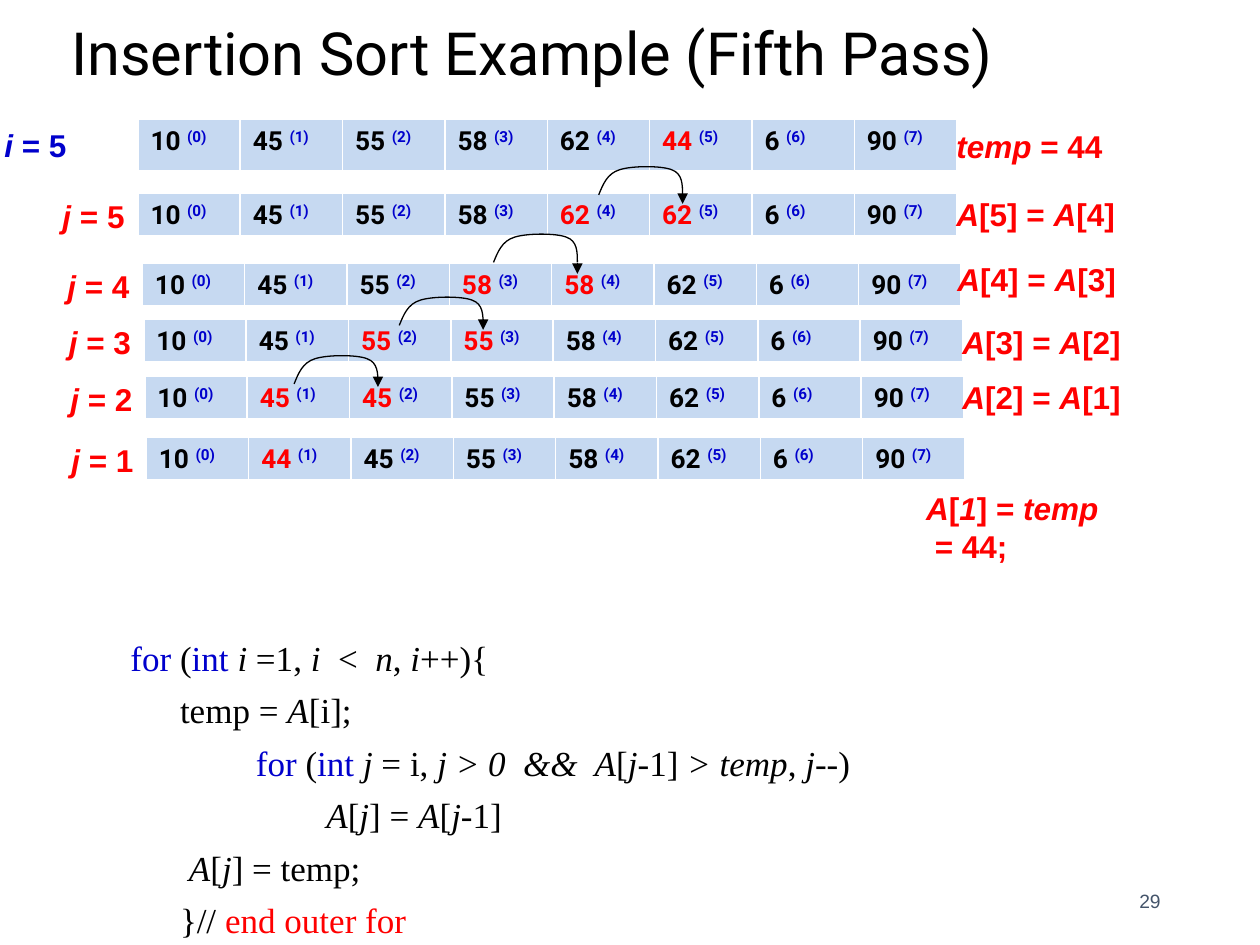
from dataclasses import dataclass
from typing import Optional

from lxml.etree import SubElement
from pptx import Presentation
from pptx.dml.color import RGBColor
from pptx.enum.shapes import MSO_CONNECTOR as Connector
from pptx.enum.text import MSO_ANCHOR as Anchor, MSO_AUTO_SIZE as AutoSize, PP_ALIGN as Align
from pptx.oxml.ns import qn
from pptx.util import Cm, Pt

BLACK = RGBColor(0x00, 0x00, 0x00)
WHITE = RGBColor(0xFF, 0xFF, 0xFF)
RED = RGBColor(0xFF, 0x00, 0x00)
BLUE = RGBColor(0x00, 0x00, 0xCC)
PALE_BLUE = RGBColor(0xC6, 0xD9, 0xF1)
SLATE = RGBColor(0x44, 0x54, 0x6A)

# Lengths in cm
ARRAY_WIDTH = 16.51
LABEL_WIDTH, LABEL_HEIGHT = 1.85, 1.02
ARC_WIDTH, ARC_HEIGHT = 1.69, 0.59
ARROW_LENGTH = 0.21
# Start, then three points for each cubic curve, as fractions of the arc's size
ARC_POINTS = (
    (0, 1),
    (0.05, 0.65), (0.1, 0.27), (0.25, 0.14),
    (0.4, 0), (0.75, 0), (0.87, 0.14),
    (1, 0.27), (1, 0.65), (1, 1),
)


@dataclass
class Step:
    """One row of the trace: the array, its label and its note."""
    left: float
    top: float
    values: tuple[int, ...]
    changed: tuple[int, ...]
    label: str
    label_at: tuple[float, float]
    note: str
    note_at: tuple[float, float]
    note_width: float = 3.8
    arc_at: Optional[tuple[float, float]] = None
    height: float = 0.89
    label_color: RGBColor = RED


@dataclass
class CodeLine:
    indent: float
    text: str
    accent: RGBColor = BLUE


STEPS = (
    Step(2.78, 2.41, (10, 45, 55, 58, 62, 44, 6, 90), (5,), "*i* = 5", (-0.16, 2.41),
         "*temp* = 44", (19.03, 2.44), height=1.07, label_color=BLUE),
    Step(2.78, 3.9, (10, 45, 55, 58, 62, 62, 6, 90), (4, 5), "*j* = 5", (1.01, 3.85),
         "*A*[5] = *A*[4]", (19.03, 3.81), arc_at=(12.07, 3.93)),
    Step(2.87, 5.31, (10, 45, 55, 58, 58, 62, 6, 90), (3, 4), "*j* = 4", (1.11, 5.26),
         "*A*[4] = *A*[3]", (19.05, 5.12), arc_at=(9.95, 5.29)),
    Step(2.9, 6.44, (10, 45, 55, 55, 58, 62, 6, 90), (2, 3), "*j* = 3", (1.14, 6.39),
         "*A*[3] = *A*[2]", (19.15, 6.39), arc_at=(8.05, 6.56)),
    Step(2.92, 7.59, (10, 45, 45, 55, 58, 62, 6, 90), (1, 2), "*j* = 2", (1.17, 7.54),
         "*A*[2] = *A*[1]", (19.15, 7.49), arc_at=(5.93, 7.74)),
    Step(2.95, 8.82, (10, 44, 45, 55, 58, 62, 6, 90), (1,), "*j* = 1", (1.19, 8.76),
         "*A*[*1*] = *temp*\n = 44;", (18.42, 9.73), note_width=4.2),
)

CODE = (
    CodeLine(0.75, "~for~ (~int~ *i* =1, *i*  <  *n*, *i*++){"),
    CodeLine(1.75, "temp = *A*[i];"),
    CodeLine(3.28, "~for~ (~int~ *j* = i, *j > 0  &&  A*[*j*-1]* > temp*, *j*--)"),
    CodeLine(4.7, "*A*[*j*] = *A*[*j*-1]"),
    CodeLine(1.93, "*A*[*j*] = temp;"),
    CodeLine(1.75, "}// ~end outer for~", RED),
)


def add_span(para, text: str, *, font: str, size: float, color: RGBColor,
             bold: bool = False, italic: bool = False, raised: bool = False) -> None:
    span = para.add_run()
    span.text = text
    span.font.name, span.font.size = font, Pt(size)
    span.font.bold, span.font.italic = bold, italic
    span.font.color.rgb = color
    if raised:
        span._r.get_or_add_rPr().set("baseline", "30000")


def write(para, text: str, *, color: RGBColor, accent: RGBColor = BLUE, **style) -> None:
    """Write text in which *...* is italic and ~...~ takes the accent colour."""
    for i, piece in enumerate(text.split("*")):
        for k, part in enumerate(piece.split("~")):
            if part:
                add_span(para, part, italic=i % 2 == 1,
                         color=accent if k % 2 else color, **style)


def add_box(page, left: float, top: float, width: float, height: float, *,
            anchor=Anchor.TOP):
    box = page.shapes.add_textbox(Cm(left), Cm(top), Cm(width), Cm(height))
    frame = box.text_frame
    frame.word_wrap = True
    frame.vertical_anchor = anchor
    frame.auto_size = AutoSize.NONE
    return frame


def add_label(page, text: str, left: float, top: float, width: float, color: RGBColor) -> None:
    lines = text.split("\n")
    frame = add_box(page, left, top, width, LABEL_HEIGHT * len(lines))
    for i, line in enumerate(lines):
        para = frame.add_paragraph() if i else frame.paragraphs[0]
        write(para, line, font="Arial", size=18, bold=True, color=color)


def set_borders(cell) -> None:
    properties = cell._tc.get_or_add_tcPr()
    for side, width in (("L", 1), ("R", 1), ("T", 1), ("B", 3)):
        line = SubElement(properties, qn(f"a:ln{side}"), w=str(Pt(width)))
        fill = SubElement(line, qn("a:solidFill"))
        SubElement(fill, qn("a:srgbClr"), val=str(WHITE))


def add_array(page, step: Step) -> None:
    count = len(step.values)
    table = page.shapes.add_table(1, count, Cm(step.left), Cm(step.top),
                                  Cm(ARRAY_WIDTH), Cm(step.height)).table
    table.first_row = table.horz_banding = False
    for i, value in enumerate(step.values):
        cell = table.cell(0, i)
        set_borders(cell)
        cell.fill.solid()
        cell.fill.fore_color.rgb = PALE_BLUE
        para = cell.text_frame.paragraphs[0]
        style = dict(font="Roboto", size=15, bold=True)
        add_span(para, f"{value} ", color=RED if i in step.changed else BLACK, **style)
        add_span(para, f"({i})", color=BLUE, raised=True, **style)


def bend(shape) -> None:
    """Turn every three straight segments of a freeform into one cubic curve."""
    for i, segment in enumerate(list(shape._element.iter(qn("a:lnTo")))):
        outline = segment.getparent()
        if i % 3 == 0:
            curve = SubElement(outline, qn("a:cubicBezTo"))
        curve.append(segment[0])
        outline.remove(segment)


def add_arc(page, left: float, bottom: float, arrow_top: float) -> None:
    places = [(Cm(left + x * ARC_WIDTH), Cm(bottom - (1 - y) * ARC_HEIGHT))
              for x, y in ARC_POINTS]
    builder = page.shapes.build_freeform(*places[0])
    builder.add_line_segments(places[1:], close=False)
    arc = builder.convert_to_shape()
    bend(arc)
    arc.shadow.inherit = False
    arc.fill.background()

    right = Cm(left + ARC_WIDTH)
    arrow = page.shapes.add_connector(Connector.STRAIGHT, right, Cm(arrow_top),
                                      right, Cm(arrow_top + ARROW_LENGTH))
    for shape in (arc, arrow):
        shape.line.color.rgb = BLACK
        shape.line.width = Pt(0.75)
    SubElement(arrow.line._get_or_add_ln(), qn("a:tailEnd"), type="triangle")
    SubElement(arrow._element.spPr, qn("a:effectLst"))


def main() -> None:
    deck = Presentation()
    deck.slide_width, deck.slide_height = Cm(25.4), Cm(19.05)
    page = deck.slides.add_slide(deck.slide_layouts[6])

    # Title
    para = add_box(page, 1.19, 0.05, 21.03, 1.85, anchor=Anchor.BOTTOM).paragraphs[0]
    para.line_spacing = 0.9
    write(para, "Insertion Sort Example (Fifth Pass)", font="Roboto", size=34, color=BLACK)

    # Trace of the pass
    for step in STEPS:
        add_array(page, step)
        add_label(page, step.label, *step.label_at, LABEL_WIDTH, step.label_color)
        add_label(page, step.note, *step.note_at, step.note_width, RED)
    for step in STEPS:
        if step.arc_at:
            add_arc(page, *step.arc_at, step.top)

    # Code
    frame = add_box(page, 1.63, 12.7, 20.12, 5.92)
    for i, line in enumerate(CODE):
        para = frame.add_paragraph() if i else frame.paragraphs[0]
        para.space_before = Pt(6)
        para._p.get_or_add_pPr().set("marL", str(Cm(line.indent)))
        write(para, line.text, font="Times New Roman", size=20, color=BLACK, accent=line.accent)

    # Page number
    para = add_box(page, 17.93, 17.65, 5.72, 1.02, anchor=Anchor.MIDDLE).paragraphs[0]
    para.alignment = Align.RIGHT
    write(para, "29", font="Arial", size=11, color=SLATE)

    deck.save("out.pptx")


if __name__ == "__main__":
    main()
